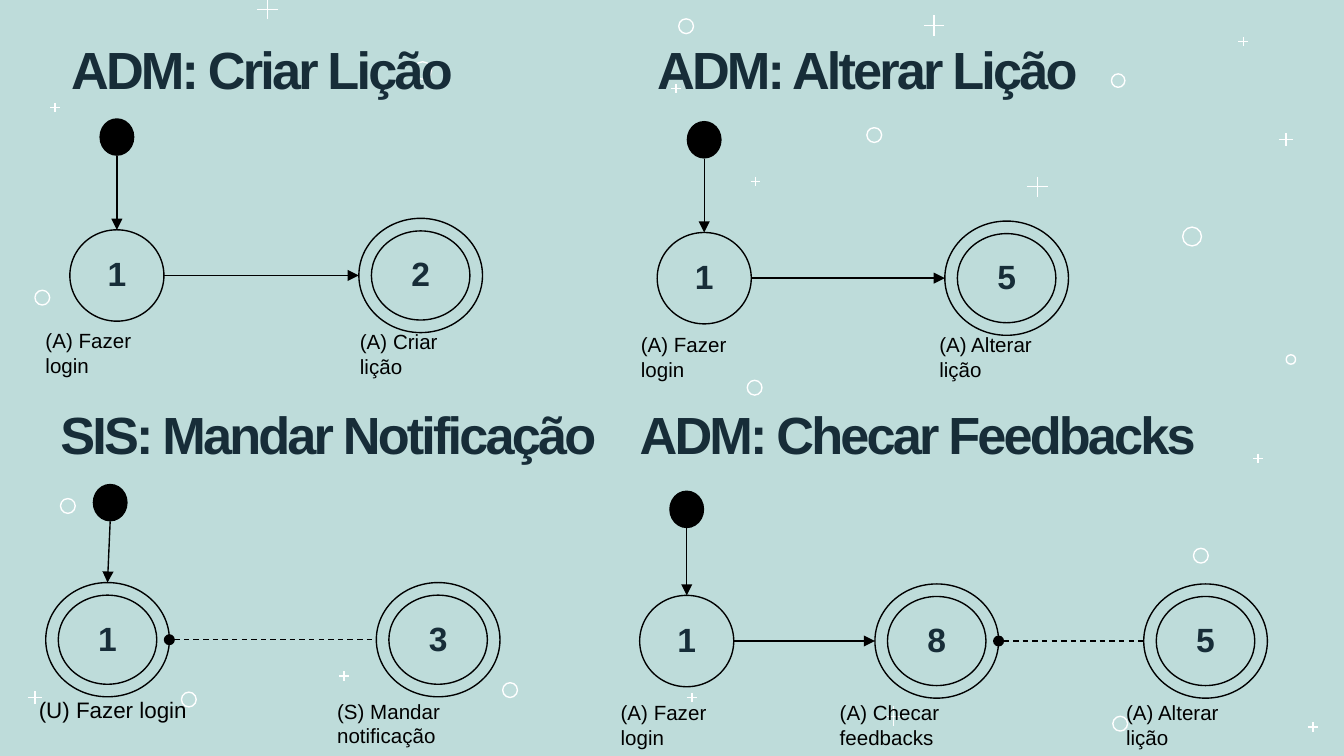
"""Build a slide with four activity state diagrams on a starry background."""
from lxml import etree
from pptx import Presentation
from pptx import util as u
from pptx.dml.color import RGBColor
from pptx.enum import dml, shapes, text
from pptx.oxml.ns import qn

THEME = {
    "background": "BEDCDA", "star": "FFFFFF", "ink": "172D38", "line": "000000",
    "font": "Arial", "title": 28, "number": 18, "caption": 11, "large_caption": 12,
    "width": 0.75,
}
DOT = (0.26, 0.28)
STATE = (0.7, 0.68)
FINAL = (0.92, 0.85)

# centre x, centre y, arm span
CROSSES = [
    (6.95, 0.19, 0.15), (7.72, 1.39, 0.15), (6.65, 5.33, 0.15), (1.99, 0.07, 0.15),
    (2.56, 5.03, 0.07), (0.41, 0.8, 0.07), (5.03, 0.66, 0.07), (5.15, 5.19, 0.07),
    (9.25, 0.31, 0.07), (5.62, 1.35, 0.07), (9.36, 3.41, 0.07), (9.77, 5.41, 0.07),
    (9.57, 1.04, 0.1), (0.26, 5.19, 0.1),
]
# left, top, diameter
RINGS = [
    (8.8, 1.69, 0.14), (9.57, 2.64, 0.07), (3.08, 0.46, 0.13), (1.35, 5.15, 0.11),
    (3.74, 5.08, 0.11), (0.45, 3.71, 0.11), (5.56, 2.83, 0.11), (8.88, 4.08, 0.11),
    (6.45, 0.95, 0.11), (5.05, 0.14, 0.11), (0.26, 2.16, 0.11), (8.27, 0.55, 0.1),
    (8.28, 5.33, 0.11),
]
# states: centre x, number, is final; captions: text, left, top, width, size
DIAGRAMS = [
    {"title": ("ADM: Criar Lição", 0.53, 0.31, 3.48), "dot": (0.87, 0.88), "middle": 2.05,
     "states": [(0.87, "1", False), (3.13, "2", True)], "links": ["arrow"],
     "captions": [("(A) Fazer login", 0.24, 2.39, 1.13, "caption"),
                  ("(A) Criar lição", 2.58, 2.4, 1.1, "caption")]},
    {"title": ("ADM: Alterar Lição", 4.89, 0.31, 3.48), "dot": (5.24, 0.9), "middle": 2.07,
     "states": [(5.24, "1", False), (7.49, "5", True)], "links": ["arrow"],
     "captions": [("(A) Fazer login", 4.67, 2.42, 1.13, "caption"),
                  ("(A) Alterar lição", 6.89, 2.42, 1.22, "caption")]},
    {"title": ("SIS: Mandar Notificação", 0.45, 3.03, 4.07), "dot": (0.82, 3.6), "middle": 4.76,
     "states": [(0.8, "1", True), (3.26, "3", True)], "links": ["dashed"],
     "captions": [("(U) Fazer login", 0.19, 5.13, 1.35, "large_caption"),
                  ("(S) Mandar notificação", 2.41, 5.15, 1.71, "caption")]},
    {"title": ("ADM: Checar Feedbacks", 4.76, 3.03, 4.53), "dot": (5.11, 3.65), "middle": 4.77,
     "states": [(5.11, "1", False), (6.97, "8", True), (8.97, "5", True)],
     "links": ["arrow", "dashed"],
     "captions": [("(A) Fazer login", 4.52, 5.16, 1.13, "caption"),
                  ("(A) Checar feedbacks", 6.15, 5.16, 1.63, "caption"),
                  ("(A) Alterar lição", 8.28, 5.16, 1.22, "caption")]},
]


def color(name):
    return RGBColor.from_string(THEME[name])


def write(frame, words, size, ink="line", bold=False, align=None, spacing=None, tracking=None):
    paragraph = frame.paragraphs[0]
    paragraph.alignment = align
    paragraph.line_spacing = spacing
    run = paragraph.add_run()
    run.text = words
    run.font.name = THEME["font"]
    run.font.size = u.Pt(THEME[size])
    run.font.bold = bold
    run.font.color.rgb = color(ink)
    if tracking is not None:
        run._r.get_or_add_rPr().set("spc", str(round(tracking * 100)))


def add_label(slide, words, left, top, width, height, size, margin=None, **style):
    frame = slide.shapes.add_textbox(*map(u.Inches, (left, top, width, height))).text_frame
    frame.word_wrap = True
    if margin is not None:
        frame.margin_left = frame.margin_right = u.Inches(margin)
        frame.margin_top = frame.margin_bottom = u.Inches(margin)
    write(frame, words, size, **style)
    return frame


def add_figure(slide, kind, left, top, width, height, fill=None, line=None):
    shape = slide.shapes.add_shape(kind, *map(u.Inches, (left, top, width, height)))
    shape.shadow.inherit = False
    if fill:
        shape.fill.solid()
        shape.fill.fore_color.rgb = color(fill)
    else:
        shape.fill.background()
    if line:
        shape.line.color.rgb = color(line)
        shape.line.width = u.Pt(THEME["width"])
    else:
        shape.line.fill.background()
    return shape


def add_line(slide, start, end, ink="line", kind=None):
    line = slide.shapes.add_connector(
        shapes.MSO_CONNECTOR.STRAIGHT, *map(u.Inches, (*start, *end)))
    line.line.color.rgb = color(ink)
    line.line.width = u.Pt(THEME["width"])
    if kind == "dashed":
        line.line.dash_style = dml.MSO_LINE.DASH
        etree.SubElement(line.line._get_or_add_ln(), qn("a:headEnd"), type="oval")
    elif kind == "arrow":
        etree.SubElement(line.line._get_or_add_ln(), qn("a:tailEnd"), type="triangle")
    etree.SubElement(line._element.spPr, qn("a:effectLst"))
    return line


def add_state(slide, center, middle, number, final):
    width, height = FINAL if final else STATE
    kind = shapes.MSO_SHAPE.DONUT if final else shapes.MSO_SHAPE.OVAL
    state = add_figure(slide, kind, center - width / 2, middle - height / 2,
                       width, height, line="line")
    if final:
        state.adjustments[0] = 0.11
    state.text_frame.vertical_anchor = text.MSO_ANCHOR.MIDDLE
    write(state.text_frame, number, "number", ink="ink", bold=True,
          align=text.PP_ALIGN.CENTER, spacing=0.95)
    return state


def add_background(slide):
    slide.background.fill.solid()
    slide.background.fill.fore_color.rgb = color("background")
    for x, y, span in CROSSES:
        arm = span / 2
        add_line(slide, (x, y - arm), (x, y + arm), "star")
        add_line(slide, (x - arm, y), (x + arm, y), "star")
    for left, top, diameter in RINGS:
        add_figure(slide, shapes.MSO_SHAPE.OVAL, left, top, diameter, diameter, line="star")


def add_diagram(slide, diagram):
    words, left, top, width = diagram["title"]
    add_label(slide, words, left, top, width, 1.34, "title", margin=0,
              ink="ink", bold=True, spacing=0.95, tracking=-1.5)
    middle, states = diagram["middle"], diagram["states"]
    figures = [add_state(slide, x, middle, number, final) for x, number, final in states]
    x, top = diagram["dot"]
    dot_left = x - DOT[0] / 2
    add_figure(slide, shapes.MSO_SHAPE.FLOWCHART_CONNECTOR, dot_left, top, *DOT, fill="line")
    entry = add_line(slide, (x, top + DOT[1]), (states[0][0], figures[0].top / u.Inches(1)),
                     kind="arrow")
    entry.end_connect(figures[0], 0)
    for before, after, kind in zip(figures, figures[1:], diagram["links"]):
        start = (before.left + before.width) / u.Inches(1)
        add_line(slide, (start, middle), (after.left / u.Inches(1), middle), kind=kind)
    for words, left, top, width, size in diagram["captions"]:
        frame = add_label(slide, words, left, top, width, 0.29, size)
        frame.auto_size = text.MSO_AUTO_SIZE.SHAPE_TO_FIT_TEXT


def main():
    presentation = Presentation()
    presentation.slide_width = u.Inches(10)
    presentation.slide_height = presentation.slide_width * 9 // 16
    slide = presentation.slides.add_slide(presentation.slide_layouts[6])
    add_background(slide)
    for diagram in DIAGRAMS:
        add_diagram(slide, diagram)
    presentation.save("out.pptx")


if __name__ == "__main__":
    main()
